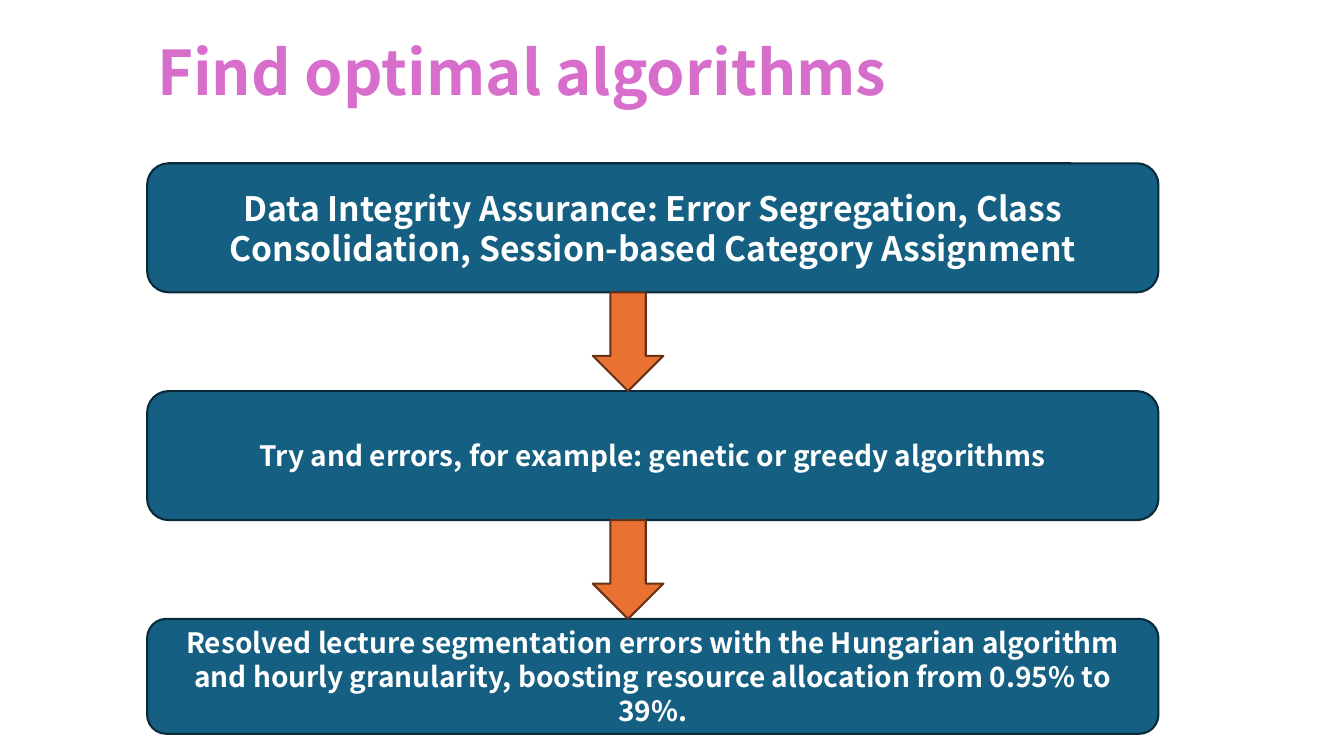
from dataclasses import dataclass

from pptx import Presentation
from pptx.dml.color import RGBColor
from pptx.enum.shapes import MSO_SHAPE as Kind
from pptx.enum.text import MSO_ANCHOR as Anchor, MSO_AUTO_SIZE as Fit, PP_ALIGN as Align
from pptx.util import Inches, Pt

FONT = "Noto Sans CJK KR"
LEFT, WIDE = 1.46, 10.03    # the one column
TOP, PITCH = 1.62, 2.26     # the rows of steps
TALL = 1.28
ARROW_X, ARROW_W = 5.88, 0.7


@dataclass
class Step:
    text: str
    size: int = 20
    tall: float = TALL


STEPS = [
    Step("Data Integrity Assurance: Error Segregation, Class Consolidation, "
         "Session-based Category Assignment", size=24),
    Step("Try and errors, for example: genetic or greedy algorithms"),
    Step("Resolved lecture segmentation errors with the Hungarian algorithm "
         "and hourly granularity, boosting resource allocation from 0.95% to 39%.",
         tall=1.14),
]


def tint(code: str) -> RGBColor:
    return RGBColor.from_string(code)


def row(index: int) -> float:
    """Top of a step, in inches."""
    return TOP + index * PITCH


def write(shape, text: str, *, size: int, color: str = "FFFFFF",
          align=Align.CENTER, anchor=Anchor.MIDDLE, fit=Fit.NONE) -> None:
    frame = shape.text_frame
    frame.word_wrap = True
    frame.auto_size = fit
    frame.vertical_anchor = anchor
    para = frame.paragraphs[0]
    para.alignment = align
    run = para.add_run()
    run.text = text
    font = run.font
    font.name, font.size, font.bold = FONT, Pt(size), True
    font.color.rgb = tint(color)


def draw(slide, kind, x: float, y: float, w: float, h: float, fill: str, line: str):
    shape = slide.shapes.add_shape(kind, Inches(x), Inches(y), Inches(w), Inches(h))
    shape.shadow.inherit = False
    shape.fill.solid()
    shape.fill.fore_color.rgb = tint(fill)
    shape.line.color.rgb = tint(line)
    shape.line.width = Pt(1.5)
    return shape


def main() -> None:
    deck = Presentation()
    deck.slide_width, deck.slide_height = Inches(13.33), Inches(7.5)
    slide = deck.slides.add_slide(deck.slide_layouts[6])

    title = slide.shapes.add_textbox(Inches(LEFT), Inches(0.29), Inches(WIDE), Inches(0.84))
    write(title, "Find optimal algorithms", size=44, color="D86ECC",
          align=Align.LEFT, anchor=Anchor.TOP, fit=Fit.SHAPE_TO_FIT_TEXT)

    for i, step in enumerate(STEPS):
        box = draw(slide, Kind.ROUNDED_RECTANGLE, LEFT, row(i), WIDE, step.tall,
                   "156082", "092A39")
        write(box, step.text, size=step.size)

    for i, step in enumerate(STEPS[:-1]):
        draw(slide, Kind.DOWN_ARROW, ARROW_X, row(i) + step.tall, ARROW_W,
             PITCH - step.tall, "E97132", "663216")

    deck.save("out.pptx")


if __name__ == "__main__":
    main()
